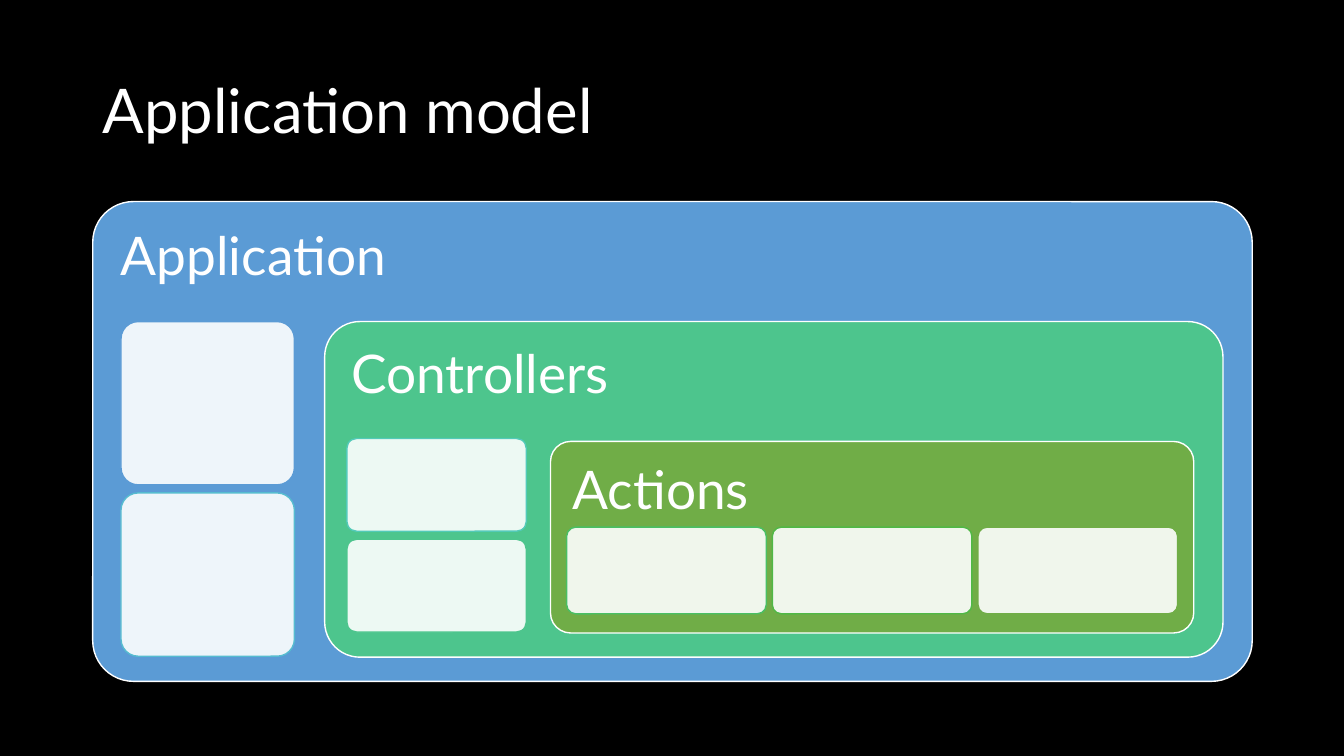
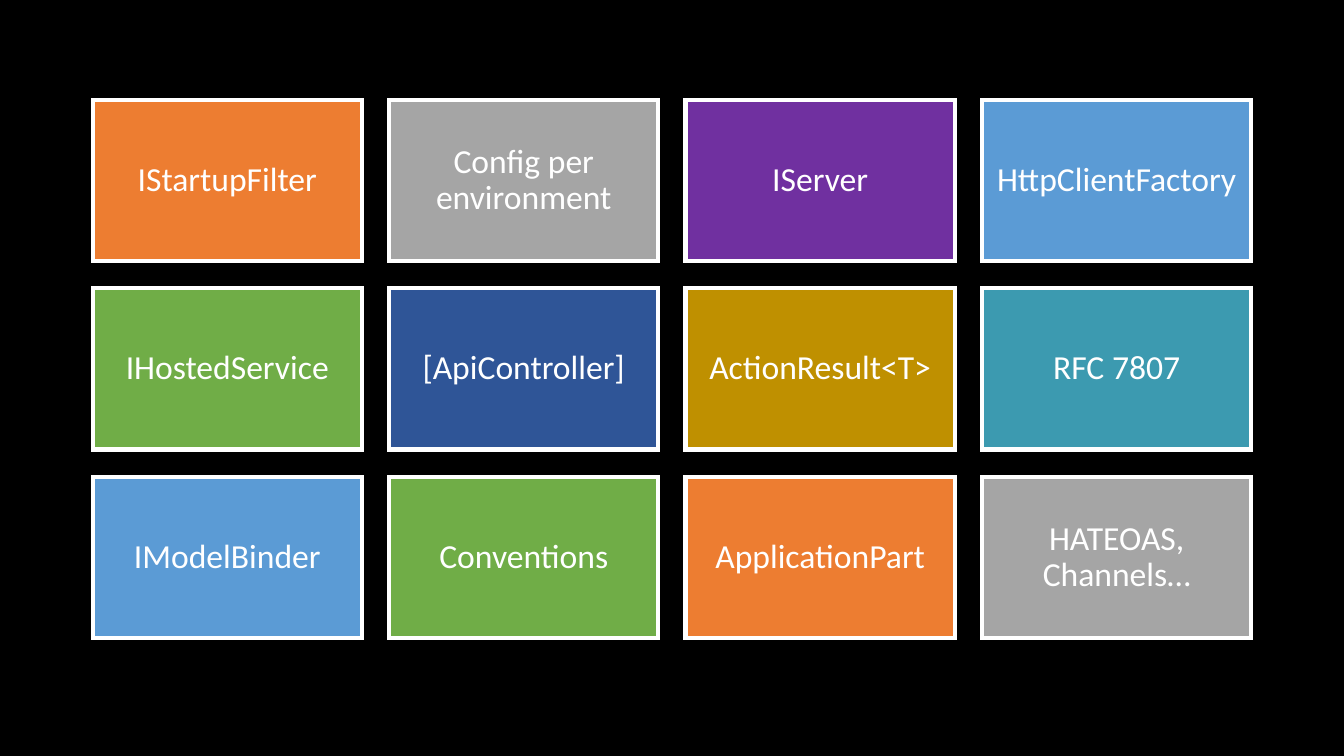
"""Build two slides: nested application model boxes and a grid of topic tiles."""
from dataclasses import dataclass

from lxml import etree
from pptx import Presentation
from pptx import util as u
from pptx.dml.color import RGBColor
from pptx.enum import shapes, text
from pptx.oxml.ns import qn

HUES = {
    "black": "000000", "white": "FFFFFF", "blue": "5B9BD5", "mint": "4DC58D",
    "green": "70AD47", "orange": "ED7D31", "gray": "A5A5A5", "purple": "7030A0",
    "navy": "2F5597", "gold": "BF9000", "teal": "3C9AB0", "aqua": "56BCD0",
    "jade": "52CAB8", "fern": "49BF64", "leaf": "50B846",
}
ROUND = shapes.MSO_SHAPE.ROUNDED_RECTANGLE
RECT = shapes.MSO_SHAPE.RECTANGLE
MID = text.MSO_ANCHOR.MIDDLE
TOP = text.MSO_ANCHOR.TOP
LEFT = text.PP_ALIGN.LEFT
MIDST = text.PP_ALIGN.CENTER


@dataclass(frozen=True)
class Area:
    left: float
    top: float
    wide: float
    high: float


@dataclass(frozen=True)
class Grid:
    cell: Area
    cols: int
    gap: float

    def at(self, spot: int) -> Area:
        row, col = divmod(spot, self.cols)
        cell = self.cell
        return Area(cell.left + col * (cell.wide + self.gap),
                    cell.top + row * (cell.high + self.gap),
                    cell.wide, cell.high)


@dataclass(frozen=True)
class Look:
    size: float
    font: str
    inset: float
    anchor: int
    align: int


@dataclass(frozen=True)
class Panel:
    area: Area
    label: str
    hue: str
    bend: float
    grid: Grid
    cards: tuple[str, ...]


HEAD = Look(44, "Lato", 0.1, MID, LEFT)
LABEL = Look(38, "Lato", 0.16, TOP, LEFT)
TILE = Look(24, "Calibri", 0.1, MID, MIDST)
BEND = 0.105

PANELS = (
    Panel(Area(0.92, 2, 11.5, 4.76), "Application", "blue", 0.085,
          Grid(Area(1.2, 3.19, 1.72, 1.62), 1, 0.08), ("blue", "aqua")),
    Panel(Area(3.22, 3.19, 8.91, 3.33), "Controllers", "mint", BEND,
          Grid(Area(3.44, 4.35, 1.78, 0.92), 1, 0.08), ("jade", "mint")),
    Panel(Area(5.46, 4.38, 6.38, 1.9), "Actions", "green", BEND,
          Grid(Area(5.62, 5.23, 1.98, 0.86), 3, 0.06), ("fern", "leaf", "green")),
)
TILES = (
    ("IStartupFilter", "orange"), ("Config per environment", "gray"),
    ("IServer", "purple"), ("HttpClientFactory", "blue"),
    ("IHostedService", "green"), ("[ApiController]", "navy"),
    ("ActionResult<T>", "gold"), ("RFC 7807", "teal"),
    ("IModelBinder", "blue"), ("Conventions", "green"),
    ("ApplicationPart", "orange"), ("HATEOAS, Channels…", "gray"),
)
BOARD = Grid(Area(0.92, 0.99, 2.67, 1.6), 4, 0.27)


def tint(name: str) -> RGBColor:
    return RGBColor.from_string(HUES[name])


def place(item, area: Area) -> None:
    item.left, item.top = u.Inches(area.left), u.Inches(area.top)
    item.width, item.height = u.Inches(area.wide), u.Inches(area.high)


def write(frame, words: str, look: Look) -> None:
    frame.margin_left = frame.margin_right = u.Inches(look.inset)
    frame.margin_top = frame.margin_bottom = u.Inches(look.inset)
    frame.word_wrap = True
    frame.auto_size = text.MSO_AUTO_SIZE.NONE
    frame.vertical_anchor = look.anchor
    para = frame.paragraphs[0]
    para.alignment = look.align
    para.line_spacing = 0.9
    run = para.add_run()
    run.text = words
    run.font.size = u.Pt(look.size)
    run.font.name = look.font
    run.font.color.rgb = tint("white")


def box(slide, kind: int, area: Area, fill: str, line: str, edge: float):
    item = slide.shapes.add_shape(kind, 0, 0, 0, 0)
    place(item, area)
    item.shadow.inherit = False
    item.fill.solid()
    item.fill.fore_color.rgb = tint(fill)
    item.line.color.rgb = tint(line)
    item.line.width = u.Pt(edge)
    return item


def panel(slide, part: Panel) -> None:
    frame = box(slide, ROUND, part.area, part.hue, "white", 1)
    frame.adjustments[0] = part.bend
    write(frame.text_frame, part.label, LABEL)
    for spot, line in enumerate(part.cards):
        card = box(slide, ROUND, part.grid.at(spot), "white", line, 1)
        card.adjustments[0] = BEND
        color = card.fill._xPr.find(qn("a:solidFill"))[0]
        etree.SubElement(color, qn("a:alpha")).set("val", "90000")


def model(deck) -> None:
    slide = deck.slides.add_slide(deck.slide_layouts[5])
    title = slide.shapes.title
    place(title, Area(0.92, 0.4, 11.5, 1.45))
    write(title.text_frame, "Application model", HEAD)
    for part in PANELS:
        panel(slide, part)


def topics(deck) -> None:
    slide = deck.slides.add_slide(deck.slide_layouts[6])
    for spot, (words, fill) in enumerate(TILES):
        tile = box(slide, RECT, BOARD.at(spot), fill, "white", 3)
        join = etree.SubElement(tile.line._ln, qn("a:miter"))
        join.set("lim", "800000")
        write(tile.text_frame, words, TILE)


def main() -> None:
    deck = Presentation()
    deck.slide_width, deck.slide_height = u.Inches(13.33), u.Inches(7.5)
    back = deck.slide_master.background.fill
    back.solid()
    back.fore_color.rgb = tint("black")
    model(deck)
    topics(deck)
    deck.save("out.pptx")


if __name__ == "__main__":
    main()
